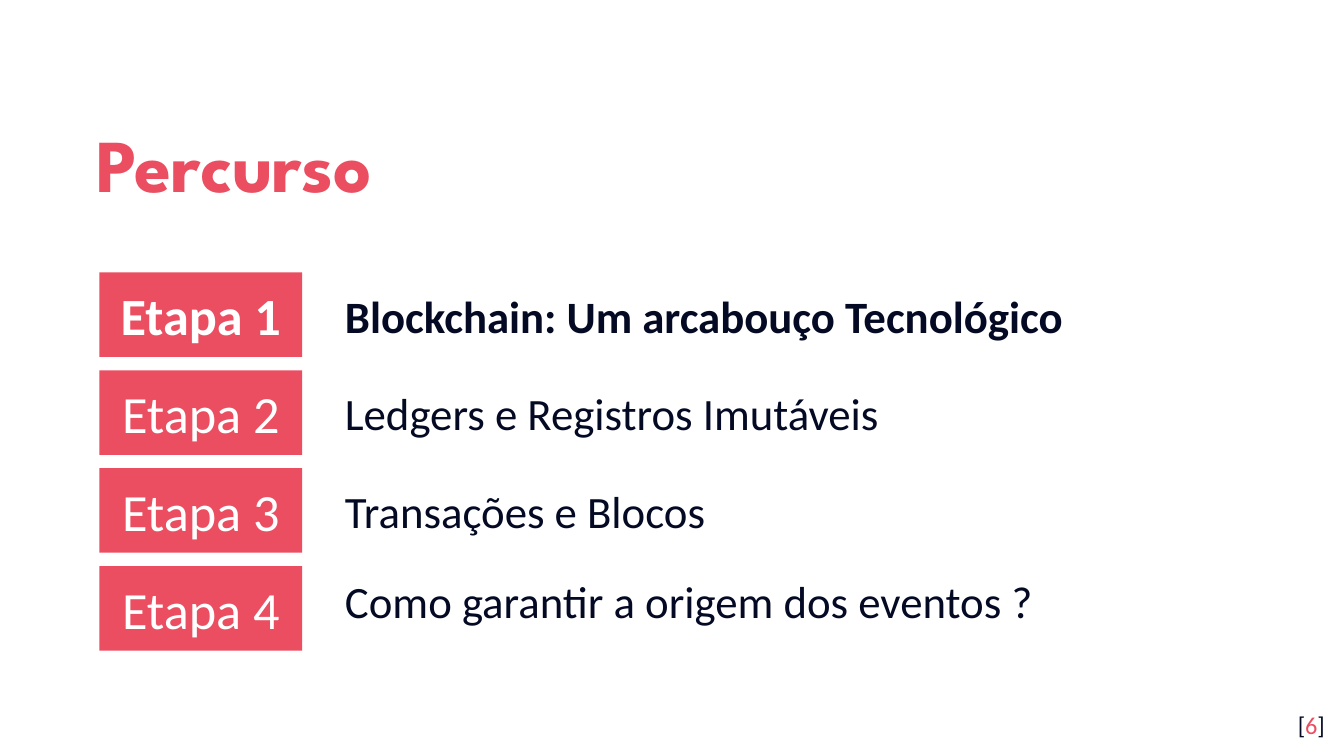
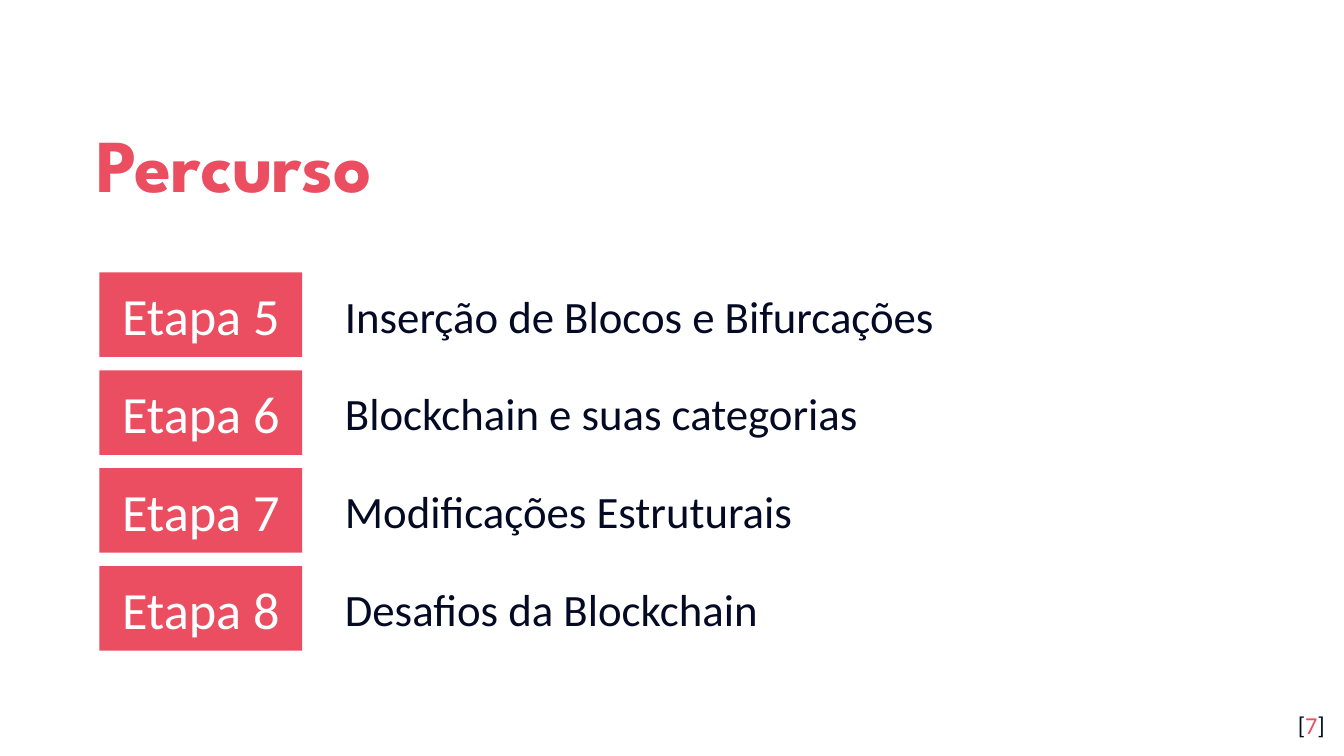
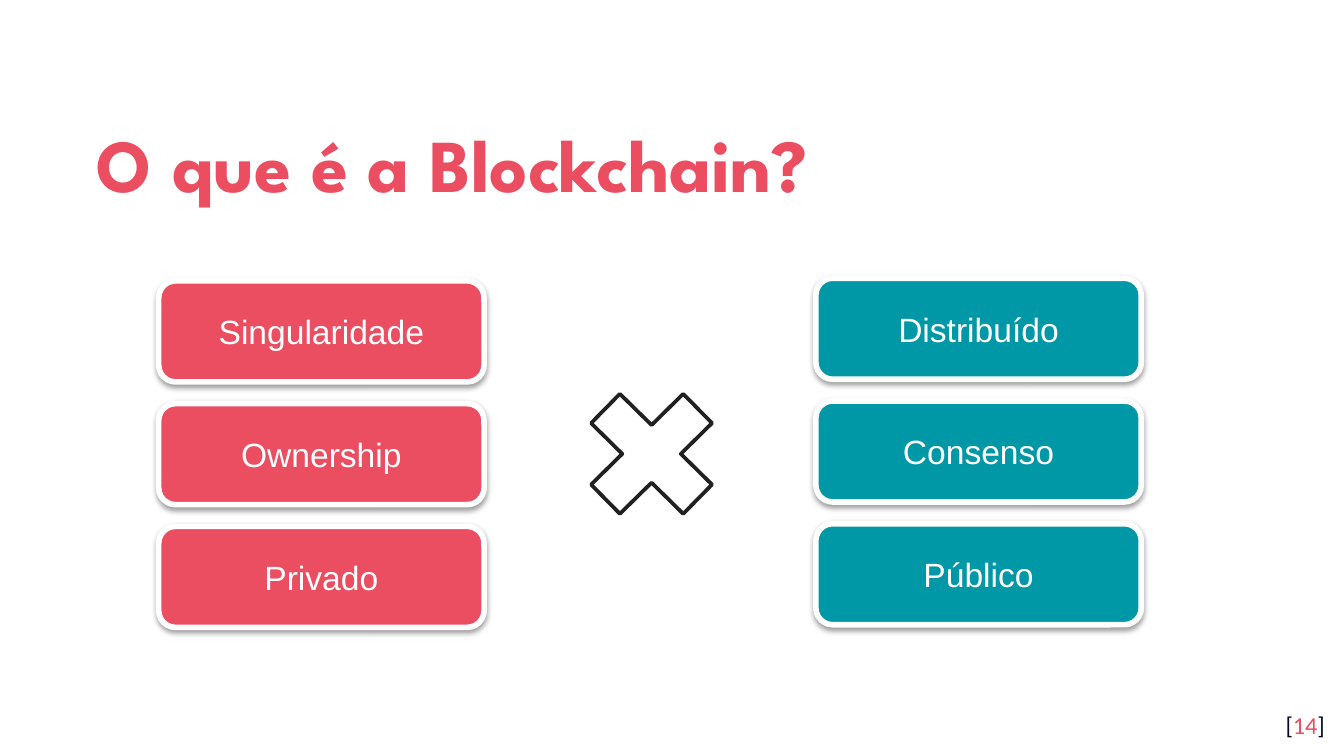
from lxml import etree
from pptx import Presentation
from pptx.dml.color import RGBColor
from pptx.enum.shapes import MSO_SHAPE as Shape
from pptx.enum.text import MSO_ANCHOR as Anchor, MSO_AUTO_SIZE as AutoSize, PP_ALIGN as Align
from pptx.oxml import parse_xml
from pptx.oxml.ns import nsdecls
from pptx.util import Cm, Pt

CORAL = RGBColor(0xEA, 0x4E, 0x60)
TEAL = RGBColor(0x00, 0x97, 0xA7)
NAVY = RGBColor(0x04, 0x0A, 0x24)
CHARCOAL = RGBColor(0x21, 0x21, 0x21)
WHITE = RGBColor(0xFF, 0xFF, 0xFF)

INSET = Cm(0.25)
SOFT_SHADOW = (
    f'<a:effectLst {nsdecls("a")}>'
    '<a:outerShdw blurRad="40000" dist="20000" dir="5400000" rotWithShape="0">'
    '<a:srgbClr val="000000"><a:alpha val="38000"/></a:srgbClr>'
    '</a:outerShdw></a:effectLst>'
)

deck = Presentation()
deck.slide_width, deck.slide_height = Cm(25.4), Cm(14.29)


def write(shape, words, font, size, color, bold=False, align=Align.LEFT,
          anchor=Anchor.MIDDLE, inset_y=INSET):
    """Fill a shape with one paragraph; words is a list of runs."""
    frame = shape.text_frame
    frame.word_wrap = True
    frame.auto_size = AutoSize.NONE
    frame.vertical_anchor = anchor
    frame.margin_left = frame.margin_right = INSET
    frame.margin_top = frame.margin_bottom = inset_y
    paragraph = frame.paragraphs[0]
    paragraph.alignment = align
    for word in words:
        run = paragraph.add_run()
        run.text = word
        run.font.name, run.font.size, run.font.bold = font, Pt(size), bold
        run.font.color.rgb = color
    return paragraph


def add_page(heading, number, heading_width=20.57):
    """Add a slide with the shared title and the bracketed page number."""
    slide = deck.slides.add_slide(deck.slide_layouts[5])
    title = slide.shapes.title
    title.left, title.top = Cm(1.57), Cm(1.78)
    title.width, title.height = Cm(heading_width), Cm(2.34)
    write(title, [heading], "League Spartan", 40, CORAL, bold=True).line_spacing = 1.15

    folio = slide.shapes.add_textbox(Cm(23.77), Cm(13.18), Cm(1.52), Cm(1.09))
    digits = write(folio, ["[", str(number), "]"], "Calibri", 13, NAVY,
                   align=Align.RIGHT, anchor=Anchor.TOP).runs[1]
    digits.font.color.rgb = CORAL
    return slide


# Route slides: page number, first stage, stage in bold, topics with their upward shift
routes = [
    (6, 1, 1, [("Blockchain: Um arcabouço Tecnológico", 0),
               ("Ledgers e Registros Imutáveis", 0),
               ("Transações e Blocos", 0),
               ("Como garantir a origem dos eventos ?", 0.15)]),
    (7, 5, None, [("Inserção de Blocos e Bifurcações", 0),
                  ("Blockchain e suas categorias", 0),
                  ("Modificações Estruturais", 0),
                  ("Desafios da Blockchain", 0)]),
]
STAGE_TOP, STAGE_PITCH = 5.15, 1.85

for page, first_stage, current_stage, topics in routes:
    slide = add_page("Percurso", page)
    for row, (topic, lift) in enumerate(topics):
        stage = first_stage + row
        top = STAGE_TOP + row * STAGE_PITCH
        bold = stage == current_stage

        badge = slide.shapes.add_shape(Shape.RECTANGLE, Cm(1.88), Cm(top), Cm(3.83), Cm(1.6))
        badge.shadow.inherit = False
        badge.fill.solid()
        badge.fill.fore_color.rgb = CORAL
        badge.line.fill.background()
        write(badge, [f"Etapa {stage}"], "Calibri", 28, WHITE, bold, Align.CENTER)

        label = slide.shapes.add_textbox(Cm(6.27), Cm(top + 0.17 - lift), Cm(17.15), Cm(1.27))
        line = write(label, [topic], "Calibri", 24, NAVY, bold,
                     anchor=Anchor.TOP, inset_y=Cm(0.13))
        hanging = line._p.get_or_add_pPr()
        hanging.set("marL", str(Cm(1.27)))
        hanging.set("indent", str(-Cm(1.27)))

# Comparison slide: two columns of opposing traits
slide = add_page("O que é a Blockchain?", 14, heading_width=22.28)
columns = [
    (3.0, 5.31, CORAL, ["Singularidade", "Ownership", "Privado"]),
    (15.42, 5.26, TEAL, ["Distribuído", "Consenso", "Público"]),
]
TRAIT_PITCH = 2.32

for left, first_top, color, traits in columns:
    for row, trait in enumerate(traits):
        card = slide.shapes.add_shape(Shape.ROUNDED_RECTANGLE, Cm(left),
                                      Cm(first_top + row * TRAIT_PITCH), Cm(6.15), Cm(1.91))
        card.fill.solid()
        card.fill.fore_color.rgb = color
        card.line.color.rgb = WHITE
        card.line.width = Pt(3)
        card._element.spPr.append(parse_xml(SOFT_SHADOW))
        write(card, [trait], "Arial", 18, WHITE, align=Align.CENTER)

# Cross between the columns
versus = slide.shapes.add_shape(Shape.MATH_MULTIPLY, Cm(10.64), Cm(6.93), Cm(3.35), Cm(3.3))
versus.shadow.inherit = False
versus.fill.solid()
versus.fill.fore_color.rgb = WHITE
versus.line.color.rgb = CHARCOAL
versus.line.width = Pt(2)

deck.save("out.pptx")
